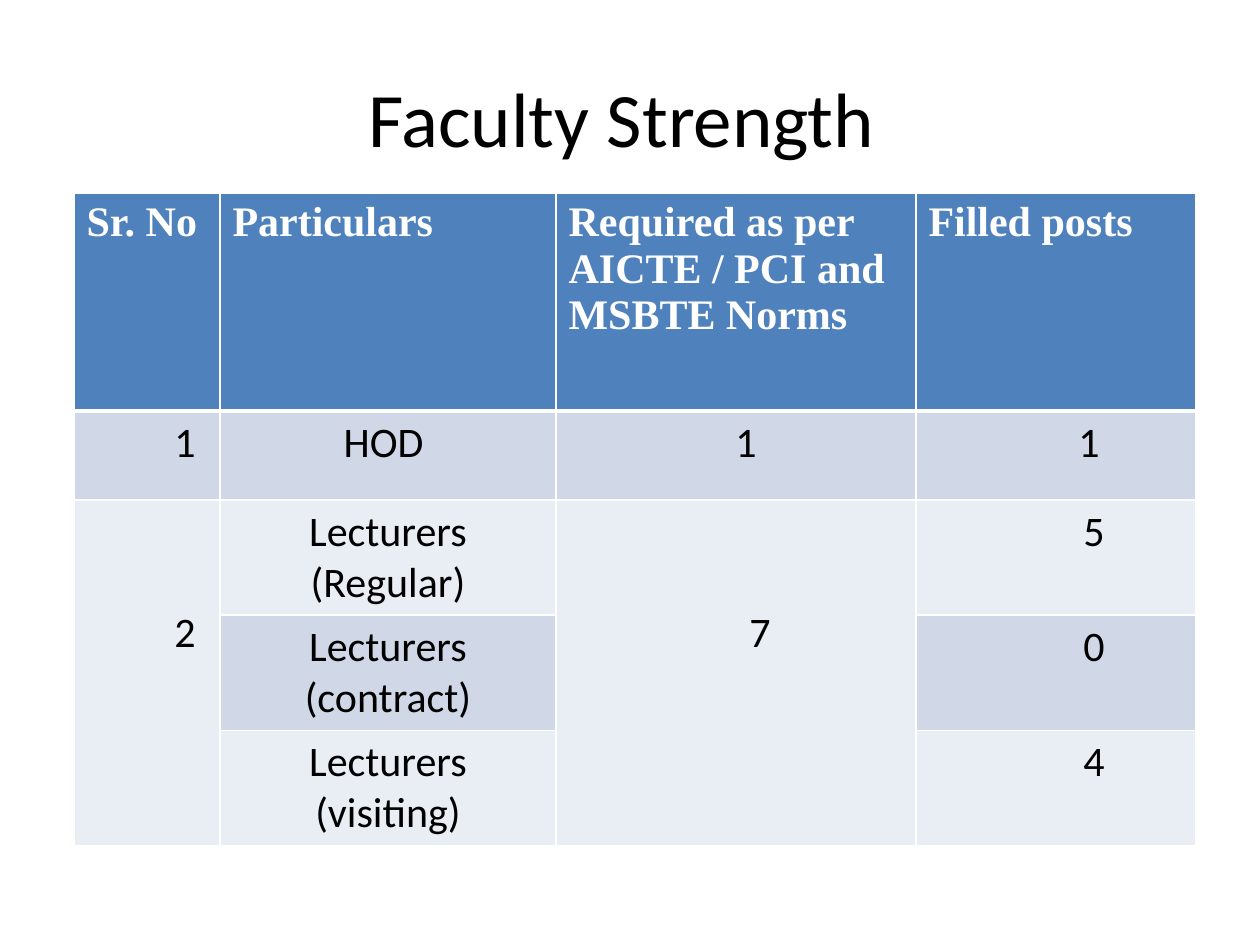
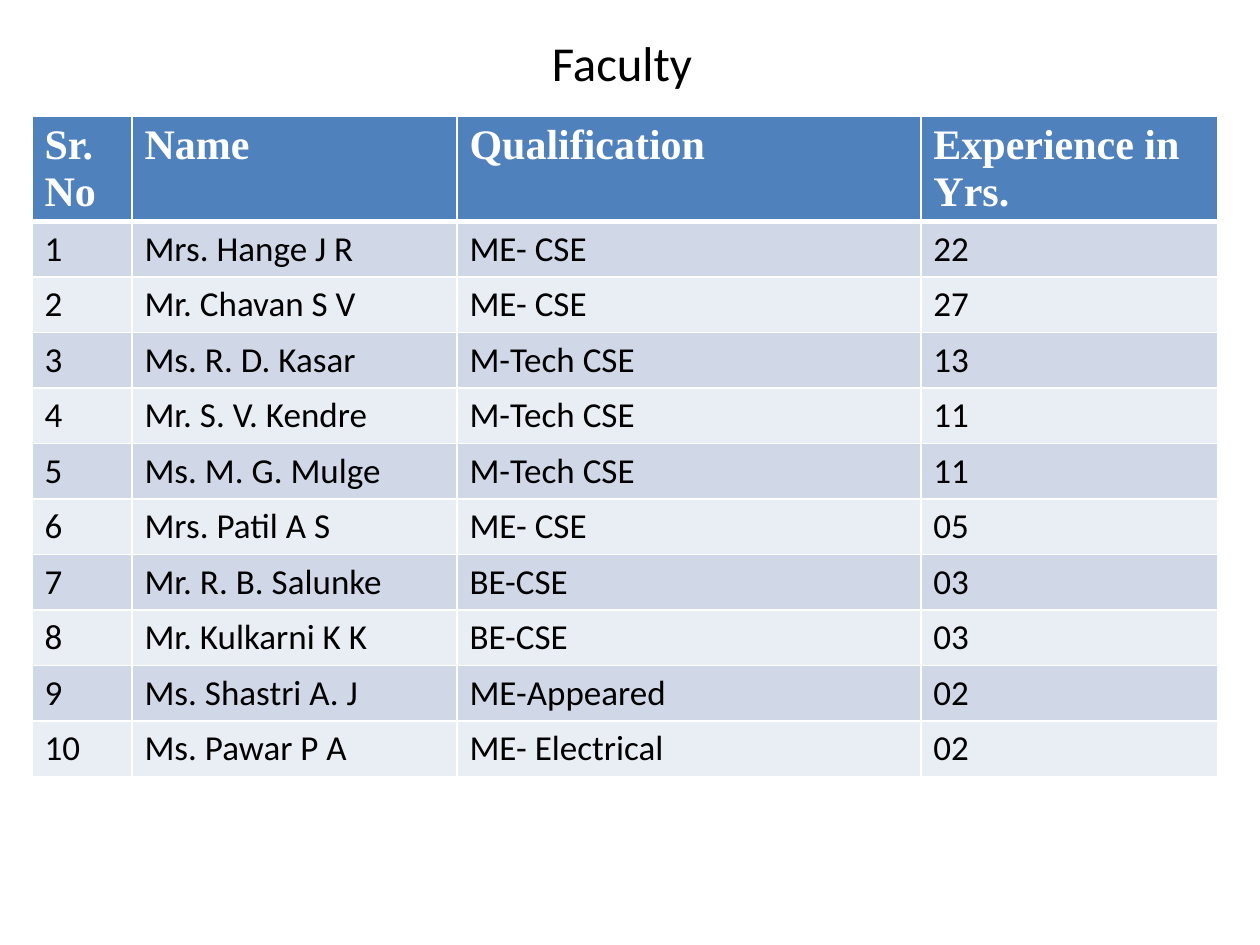
from lxml import etree
from pptx import Presentation
from pptx.dml.color import RGBColor
from pptx.enum.text import MSO_ANCHOR as ANCHOR, MSO_AUTO_SIZE as AUTO, PP_ALIGN as ALIGN
from pptx.oxml.ns import qn
from pptx.util import Emu, Pt

COLORS = {"white": "FFFFFF", "black": "000000", "header": "4F81BD",
          "odd": "D0D8E8", "even": "E9EDF4"}
BODY_FONT, HEADER_FONT = "Calibri", "Times New Roman"
PAD = 13
TITLE_ONLY = 5

STRENGTH_HEADER = ["Sr. No", "Particulars",
                   "Required as per AICTE / PCI and MSBTE Norms", "Filled posts"]
STRENGTH_ROWS = [
    ["1", "HOD", "1", "1"],
    ["2", "Lecturers (Regular)", "7", "5"],
    ["", "Lecturers (contract)", "", "0"],
    ["", "Lecturers (visiting)", "", "4"],
]
STRENGTH_SHIFTS = [[76, -9, 20, 66]] + [[76, 0, 48, 76]] * 3

FACULTY_HEADER = ["Sr. No", "Name", "Qualification", "Experience in Yrs."]
FACULTY = [
    ("Mrs. Hange J R", "ME- CSE", "22"),
    ("Mr. Chavan S V", "ME- CSE", "27"),
    ("Ms. R. D. Kasar", "M-Tech CSE", "13"),
    ("Mr. S. V. Kendre", "M-Tech CSE", "11"),
    ("Ms. M. G. Mulge", "M-Tech CSE", "11"),
    ("Mrs. Patil A S", "ME- CSE", "05"),
    ("Mr. R. B. Salunke", "BE-CSE", "03"),
    ("Mr. Kulkarni K K", "BE-CSE", "03"),
    ("Ms. Shastri A. J", "ME-Appeared", "02"),
    ("Ms. Pawar P A", "ME- Electrical", "02"),
]


def px(n):
    """Turn pixels into EMU."""
    return Emu(round(n * 914400 / 126))


def rgb(name):
    """Look up a named colour."""
    return RGBColor.from_string(COLORS[name])


def style(p, size, font, color, bold=False, align=ALIGN.LEFT):
    """Format a whole paragraph."""
    p.alignment = align
    f = p.font
    f.size, f.name, f.bold = Pt(size), font, bold
    f.color.rgb = rgb(color)


def add_title(slide, text, box, size, right=PAD, top=6):
    """Place and format the slide's title."""
    sp = slide.shapes.title
    sp.left, sp.top, sp.width, sp.height = map(px, box)
    tf = sp.text_frame
    tf.text = text
    tf.word_wrap, tf.auto_size = True, AUTO.NONE
    tf.vertical_anchor = ANCHOR.MIDDLE
    tf.margin_left, tf.margin_right = px(PAD), px(right)
    tf.margin_top, tf.margin_bottom = px(top), px(6)
    style(tf.paragraphs[0], size, BODY_FONT, "black", align=ALIGN.CENTER)


def add_borders(cell, row):
    """Draw white cell edges, thick under the header row."""
    tc_pr = cell._tc.get_or_add_tcPr()
    widths = {"L": 1, "R": 1, "T": 3 if row == 1 else 1, "B": 3 if row == 0 else 1}
    for side, width in widths.items():
        ln = etree.SubElement(tc_pr, qn(f"a:ln{side}"), w=str(Pt(width)))
        fill = etree.SubElement(ln, qn("a:solidFill"))
        etree.SubElement(fill, qn("a:srgbClr"), val=COLORS["white"])


def add_banded_table(slide, left, top, cols, heights, header, rows, size, align=ALIGN.LEFT):
    """Add a table with a blue header and banded rows."""
    data = [header, *rows]
    table = slide.shapes.add_table(len(data), len(cols), px(left), px(top),
                                   px(sum(cols)), px(sum(heights))).table
    for column, width in zip(table.columns, cols):
        column.width = px(width)
    for i, (row, height, texts) in enumerate(zip(table.rows, heights, data)):
        row.height = px(height)
        for cell, text in zip(row.cells, texts):
            add_borders(cell, i)
            cell.fill.solid()
            cell.fill.fore_color.rgb = rgb("header" if i == 0 else "odd" if i % 2 else "even")
            cell.text = text
            p = cell.text_frame.paragraphs[0]
            if i == 0:
                style(p, 24, HEADER_FONT, "white", bold=True)
            else:
                style(p, size, BODY_FONT, "black", align=align)
    return table


def build_strength(prs):
    """Build the slide on required and filled posts."""
    slide = prs.slides.add_slide(prs.slide_layouts[TITLE_ONLY])
    add_title(slide, "Faculty Strength", (63, 38, 1134, 158), 44, right=PAD + 17)
    table = add_banded_table(slide, 74, 193, [146, 336, 360, 280],
                             [218, 89, 115, 115, 115], STRENGTH_HEADER,
                             STRENGTH_ROWS, 24, ALIGN.CENTER)
    for i, shifts in enumerate(STRENGTH_SHIFTS, 1):
        for j, shift in enumerate(shifts):
            cell = table.cell(i, j)
            cell.margin_left = px(16 + max(shift, 0))
            cell.margin_right = px(16 + max(-shift, 0))
    for j in (0, 2):
        cell = table.cell(2, j)
        cell.merge(table.cell(4, j))
        cell.margin_top = px(108)


def build_faculty(prs):
    """Build the slide listing the faculty members."""
    slide = prs.slides.add_slide(prs.slide_layouts[TITLE_ONLY])
    add_title(slide, "Faculty", (63, 21, 1134, 63), 27.9, right=PAD + 16, top=24)
    rows = [(str(n), *member) for n, member in enumerate(FACULTY, 1)]
    add_banded_table(slide, 32, 116, [100, 325, 464, 297],
                     [105] + [55] * len(rows), FACULTY_HEADER, rows, 20)


def main():
    """Build and save the presentation."""
    prs = Presentation()
    prs.slide_width, prs.slide_height = px(1260), px(945)
    build_strength(prs)
    build_faculty(prs)
    prs.save("out.pptx")


if __name__ == "__main__":
    main()
